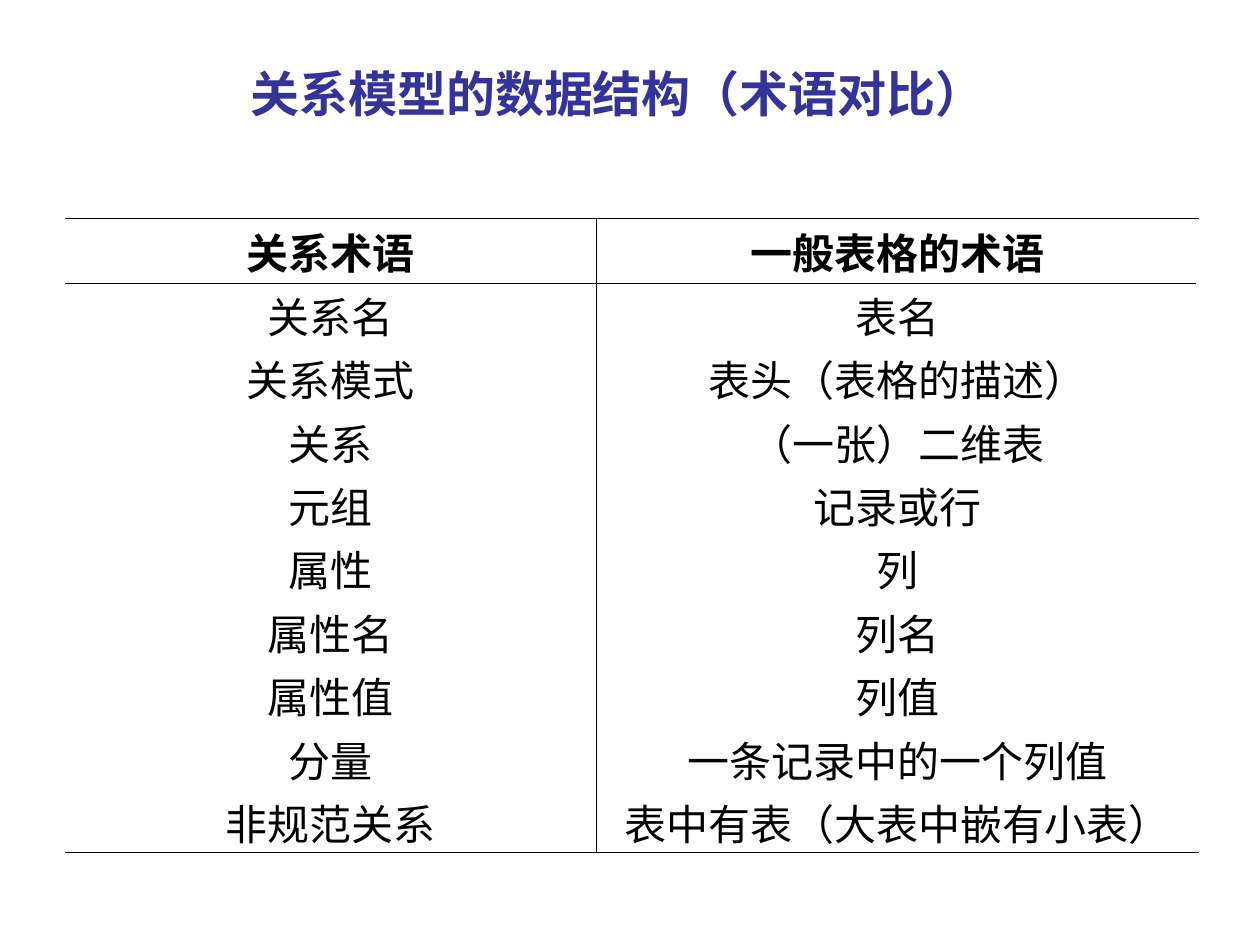
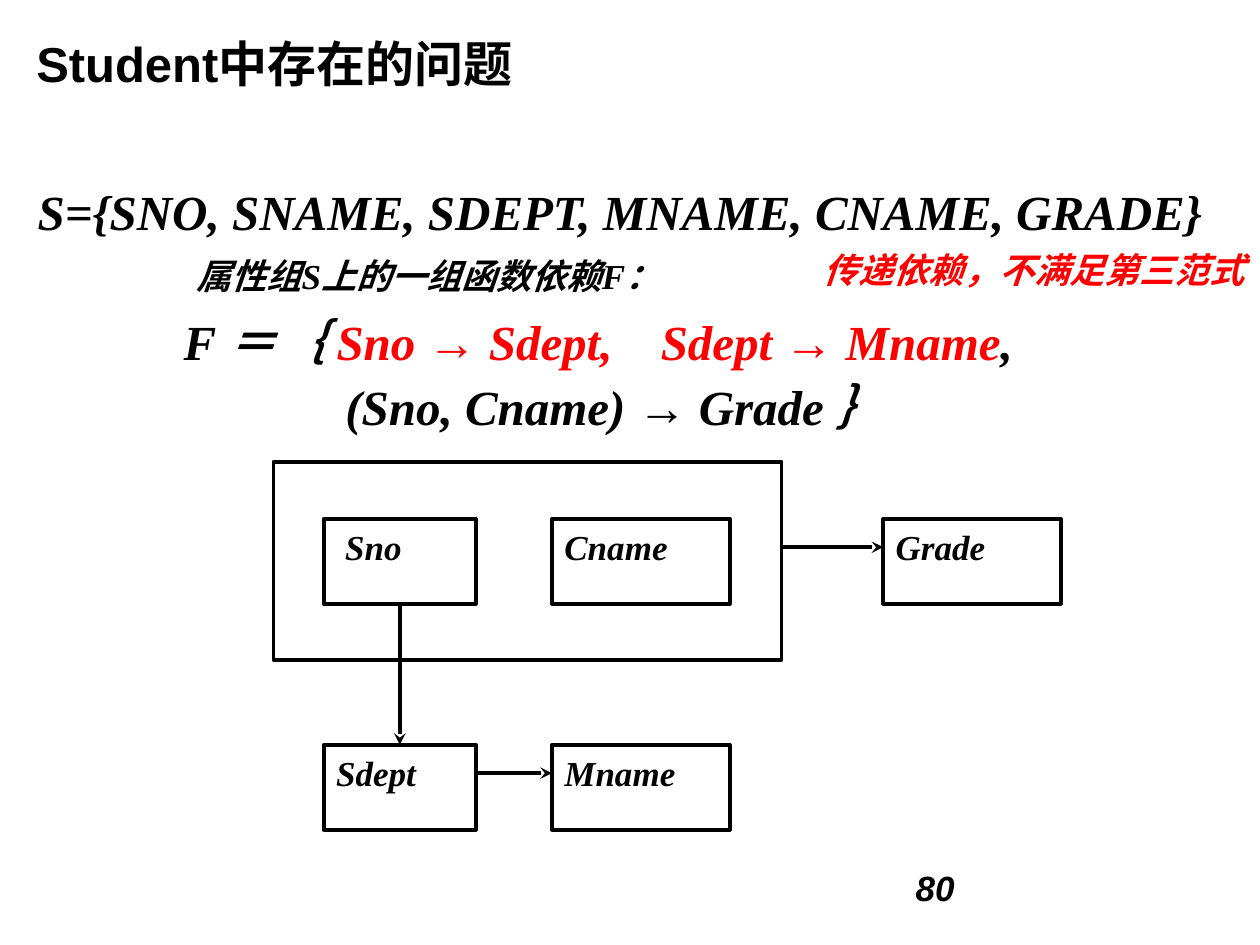
from dataclasses import dataclass
from typing import NamedTuple, Optional

from lxml.etree import SubElement
from pptx import Presentation
from pptx.dml.color import RGBColor
from pptx.enum.shapes import MSO_CONNECTOR as CONN, MSO_SHAPE as SHAPE
from pptx.enum.text import MSO_ANCHOR as ANCHOR, PP_ALIGN as ALIGN
from pptx.oxml.ns import qn
from pptx.util import Pt


@dataclass(frozen=True)
class Theme:
    black: RGBColor = RGBColor(0, 0, 0)
    navy: RGBColor = RGBColor(0x33, 0x33, 0x99)
    red: RGBColor = RGBColor(0xFF, 0, 0)
    sans: str = "Arial"
    serif: str = "Times New Roman"
    cjk: str = "Noto Sans CJK SC"
    title: float = 28
    cell: float = 24
    label: float = 20
    grid: float = 0.45
    rule: float = 0.75
    outline: float = 2.25


T = Theme()


class Style(NamedTuple):
    size: float
    font: str
    color: RGBColor = T.black
    bold: bool = True
    italic: bool = False


class Box(NamedTuple):
    x: float
    y: float
    w: float
    h: float


class Node(NamedTuple):
    name: str
    box: Box
    indent: float = 0


class Line(NamedTuple):
    """One paragraph of the dependency list: tab stops, exact height and runs."""
    tabs: tuple
    height: float
    runs: tuple


TITLE = Style(T.title, T.sans)
FORMULA = Style(T.title, T.serif, italic=True)
FORMULA_RED = FORMULA._replace(color=T.red)
LABEL = Style(T.label, T.serif, italic=True)
NOTE = Style(T.label, T.sans, italic=True)
CELL = Style(T.cell, T.cjk, bold=False)

TERMS = (
    ("关系术语", "一般表格的术语"),
    ("关系名", "表名"),
    ("关系模式", "表头（表格的描述）"),
    ("关系", "（一张）二维表"),
    ("元组", "记录或行"),
    ("属性", "列"),
    ("属性名", "列名"),
    ("属性值", "列值"),
    ("分量", "一条记录中的一个列值"),
    ("非规范关系", "表中有表（大表中嵌有小表）"),
)
TERMS_X, TERMS_Y, ROW_H = 36.9, 125, 36.2
COL_W = (304.1, 343.9)

DEPENDENCIES = (
    Line((27.4,), 34.2, (("\t属性组S上的一组函数依赖F：", LABEL),)),
    Line((20, 292.7), 42.3, (
        ("\tF ＝｛ ", FORMULA),
        ("Sno → Sdept,\tSdept → Mname", FORMULA_RED),
        (",", FORMULA),
    )),
    Line((112.5,), 36.7, (("\t(Sno, Cname) → Grade ｝", FORMULA),)),
)

KEY_BOX = Box(156.3, 264, 290.3, 113)
COL_1, COL_2, COL_3 = 185, 315.4, 504.7
ROW_1, ROW_2 = 296.5, 425.6
NARROW, WIDE, NODE_H = 87, 101.5, 48.5
ARROW_DROP = 16.2
NODES = (
    Node("Sno", Box(COL_1, ROW_1, NARROW, NODE_H), 5),
    Node("Cname", Box(COL_2, ROW_1, WIDE, NODE_H)),
    Node("Grade", Box(COL_3, ROW_1, WIDE, NODE_H)),
    Node("Sdept", Box(COL_1, ROW_2, NARROW, NODE_H)),
    Node("Mname", Box(COL_2, ROW_2, WIDE, NODE_H)),
)


def add_run(p, text: str, style: Style) -> None:
    r = p.add_run()
    r.text = text
    f = r.font
    f.size, f.name, f.bold, f.italic = Pt(style.size), style.font, style.bold, style.italic
    f.color.rgb = style.color
    SubElement(r._r.get_or_add_rPr(), qn("a:ea"), typeface=T.cjk)


def add_text(s, box: Box, text: str, style: Style, align=ALIGN.LEFT,
             anchor=ANCHOR.TOP, wrap: bool = True, top: float = 3.6,
             bottom: float = 3.6):
    """Add a text box; an empty text leaves the first paragraph to the caller."""
    tf = s.shapes.add_textbox(*map(Pt, box)).text_frame
    tf.word_wrap, tf.vertical_anchor = wrap, anchor
    tf.margin_top, tf.margin_bottom = Pt(top), Pt(bottom)
    p = tf.paragraphs[0]
    p.alignment = align
    if text:
        add_run(p, text, style)
    return tf


def add_line(s, start: tuple, end: tuple, width: float, arrow: bool = False):
    line = s.shapes.add_connector(CONN.STRAIGHT, *map(Pt, start + end))
    line.line.color.rgb, line.line.width = T.black, Pt(width)
    if arrow:
        SubElement(line.line._get_or_add_ln(), qn("a:tailEnd"), type="stealth")
    SubElement(line._element.spPr, qn("a:effectLst"))
    return line


def add_outline(s, box: Box):
    sp = s.shapes.add_shape(SHAPE.RECTANGLE, *map(Pt, box))
    sp.shadow.inherit = False
    sp.fill.background()
    sp.line.color.rgb, sp.line.width = T.black, Pt(T.outline)
    return sp


def add_node(s, node: Node):
    sp = add_outline(s, node.box)
    tf = sp.text_frame
    tf.word_wrap, tf.vertical_anchor = True, ANCHOR.TOP
    tf.margin_left = Pt(7.2 + node.indent)
    p = tf.paragraphs[0]
    p.alignment = ALIGN.JUSTIFY
    add_run(p, node.name, LABEL)
    return sp


def set_border(cell, side: str, width: Optional[float]) -> None:
    """Draw one cell side (L, R, T or B), or hide it when width is None."""
    ln = SubElement(cell._tc.get_or_add_tcPr(), qn(f"a:ln{side}"),
                    w=str(Pt(width or 0)))
    if width is None:
        SubElement(ln, qn("a:noFill"))
    else:
        fill = SubElement(ln, qn("a:solidFill"))
        SubElement(fill, qn("a:srgbClr"), val=str(T.black))


def fill_cell(cell, text: str, row: int, col: int) -> None:
    cell.margin_top = cell.margin_bottom = 0
    p = cell.text_frame.paragraphs[0]
    p.alignment, p.line_spacing = ALIGN.CENTER, Pt(ROW_H)
    add_run(p, text, CELL._replace(bold=row == 0))
    shown = {"L": col == 1, "R": col == 0, "T": row == 0, "B": row == len(TERMS) - 1}
    for side, visible in shown.items():
        set_border(cell, side, T.grid if visible else None)
    cell.fill.background()


def build_terms(prs) -> None:
    s = prs.slides.add_slide(prs.slide_layouts[6])
    add_text(s, Box(61.9, 36, 581.8, 44.6), "关系模型的数据结构（术语对比）",
             TITLE._replace(color=T.navy), ALIGN.CENTER, top=0)
    table = s.shapes.add_table(len(TERMS), 2, Pt(TERMS_X), Pt(TERMS_Y),
                               Pt(sum(COL_W)), Pt(ROW_H * len(TERMS))).table
    table.first_row = table.horz_banding = False
    for column, width in zip(table.columns, COL_W):
        column.width = Pt(width)
    for i, terms in enumerate(TERMS):
        table.rows[i].height = Pt(ROW_H)
        for j, term in enumerate(terms):
            fill_cell(table.cell(i, j), term, i, j)
    rule_y = TERMS_Y + ROW_H + 1
    add_line(s, (TERMS_X, rule_y), (683.2, rule_y), T.rule)


def add_dependencies(s) -> None:
    tf = add_text(s, Box(77.8, 131.8, 612, 324), "", FORMULA)
    for i, line in enumerate(DEPENDENCIES):
        p = tf.add_paragraph() if i else tf.paragraphs[0]
        p.line_spacing = Pt(line.height)
        tabs = SubElement(p._p.get_or_add_pPr(), qn("a:tabLst"))
        for stop in line.tabs:
            SubElement(tabs, qn("a:tab"), pos=str(Pt(stop)), algn="l")
        for text, style in line.runs:
            add_run(p, text, style)


def add_diagram(s) -> None:
    add_outline(s, KEY_BOX)
    shapes = {node.name: add_node(s, node) for node in NODES}
    mid = COL_1 + NARROW / 2
    down = add_line(s, (mid, ROW_1 + NODE_H), (mid, ROW_2), T.outline, True)
    down.begin_connect(shapes["Sno"], 2)
    down.end_connect(shapes["Sdept"], 0)
    for x1, x2, row in ((COL_1 + NARROW, COL_2, ROW_2),
                        (KEY_BOX.x + KEY_BOX.w, COL_3, ROW_1)):
        y = row + ARROW_DROP
        add_line(s, (x1, y), (x2, y), T.outline, True)


def build_student(prs) -> None:
    s = prs.slides.add_slide(prs.slide_layouts[6])
    add_dependencies(s)
    add_diagram(s)
    add_text(s, Box(13.7, 13, 700.6, 41), "Student中存在的问题", TITLE,
             anchor=ANCHOR.BOTTOM, bottom=1)
    add_text(s, Box(14.4, 100, 681.8, 41),
             "S={SNO, SNAME, SDEPT, MNAME, CNAME, GRADE}", FORMULA, wrap=False)
    add_text(s, Box(516.2, 491.8, 180, 37.4), "80", NOTE)
    add_text(s, Box(463.7, 141.1, 254.9, 31.7), "传递依赖，不满足第三范式",
             NOTE._replace(color=T.red), wrap=False, top=1)


def main() -> None:
    prs = Presentation()
    prs.slide_width, prs.slide_height = Pt(720), Pt(540)
    build_terms(prs)
    build_student(prs)
    prs.save("out.pptx")


if __name__ == "__main__":
    main()
